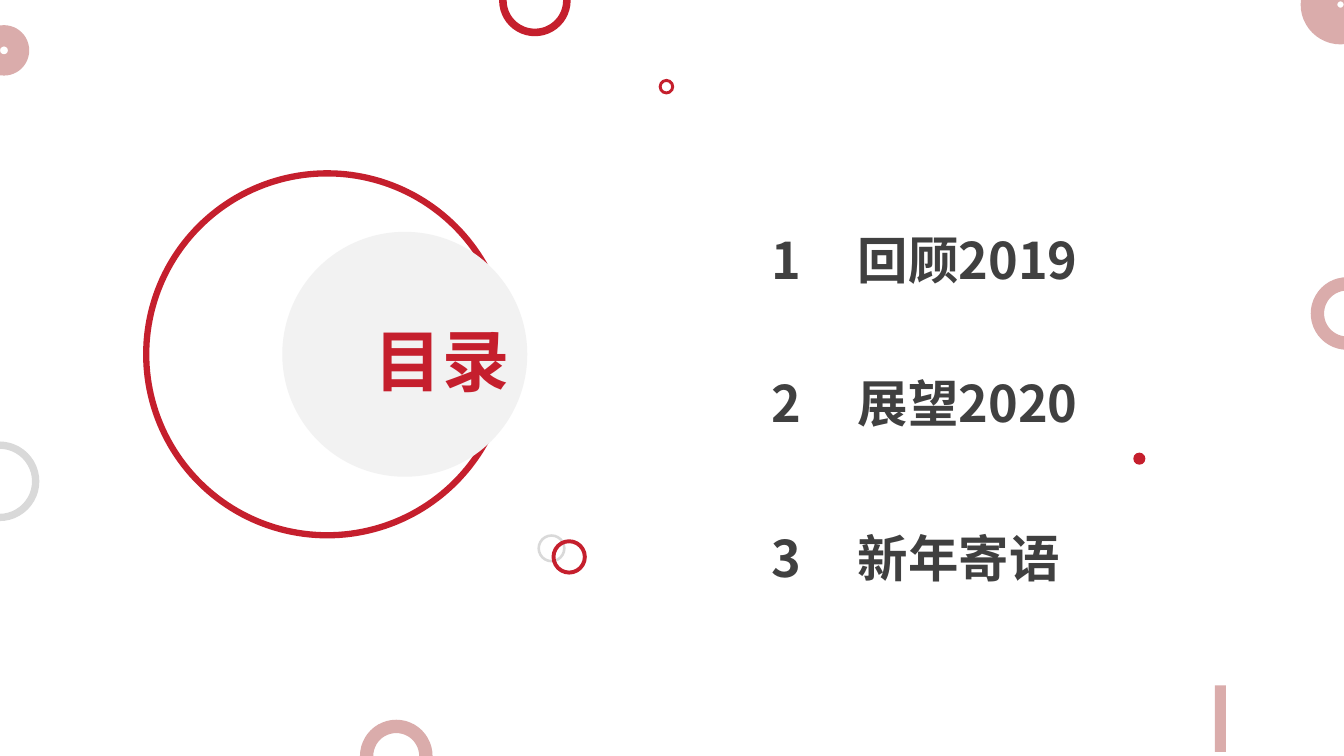
"""Build the contents slide with its ring ornaments and three entries."""
from dataclasses import dataclass
from typing import Optional

from lxml.etree import SubElement
from pptx import Presentation
from pptx.dml.color import RGBColor
from pptx.enum.shapes import MSO_SHAPE
from pptx.enum.text import MSO_AUTO_SIZE, PP_ALIGN
from pptx.oxml.ns import qn
from pptx.slide import Slide
from pptx.util import Inches, Pt


@dataclass(frozen=True)
class Theme:
    """Colours, font and type sizes of the slide."""
    red: str = "C51F2D"
    pink: str = "DAACAB"
    silver: str = "D9D9D9"
    pale: str = "F2F2F2"
    ink: str = "404040"
    font: str = "Noto Sans CJK SC"
    title_size: int = 48
    entry_size: int = 36


THEME = Theme()


@dataclass(frozen=True)
class Ornament:
    """A square-framed round shape, hollow where a band is given."""
    left: float
    top: float
    size: float
    fill: Optional[str] = None
    band: Optional[float] = None
    outline: Optional[float] = None


@dataclass(frozen=True)
class Entry:
    """One line of the contents list."""
    number: str
    label: str
    top: float


ORNAMENTS = (
    Ornament(1.45, 1.72, 3.59, outline=4.5),
    Ornament(-0.4, 4.38, 0.79, THEME.silver, 0.092),
    Ornament(5.33, 5.3, 0.28, THEME.silver, 0.092),
    Ornament(5.47, 5.35, 0.35, THEME.red, 0.112),
    Ornament(3.57, 7.14, 0.72, THEME.pink, 0.184),
    Ornament(-0.21, 0.25, 0.5, THEME.pink, 0.421),
    Ornament(4.95, -0.35, 0.71, THEME.red, 0.106),
    Ornament(6.54, 0.79, 0.14, THEME.red, 0.112, outline=1),
    Ornament(13, 2.75, 0.72, THEME.pink, 0.184),
    Ornament(12.9, -0.35, 0.79, THEME.pink, 0.46),
    Ornament(11.24, 4.49, 0.12, THEME.red),
    Ornament(2.8, 2.3, 2.43, THEME.pale),
)

ENTRIES = (
    Entry("1", "回顾2019", 2.22),
    Entry("2", "展望2020", 3.64),
    Entry("3", "新年寄语", 5.18),
)


def draw_ornament(slide: Slide, ornament: Ornament) -> None:
    """Draw a ring, disc or outlined circle."""
    kind = MSO_SHAPE.OVAL if ornament.band is None else MSO_SHAPE.DONUT
    size = Inches(ornament.size)
    circle = slide.shapes.add_shape(
        kind, Inches(ornament.left), Inches(ornament.top), size, size)
    circle.shadow.inherit = False
    if ornament.band is not None:
        circle.adjustments[0] = ornament.band
    if ornament.fill is None:
        circle.fill.background()
    else:
        circle.fill.solid()
        circle.fill.fore_color.rgb = RGBColor.from_string(ornament.fill)
    if ornament.outline is None:
        circle.line.fill.background()
    else:
        circle.line.color.rgb = RGBColor.from_string(THEME.red)
        circle.line.width = Pt(ornament.outline)


def draw_bar(slide: Slide) -> None:
    """Draw the upright bar at the lower right."""
    bar = slide.shapes.add_shape(
        MSO_SHAPE.RECTANGLE, Inches(12.05), Inches(6.8), Inches(0.11), Inches(0.66))
    bar.shadow.inherit = False
    bar.fill.solid()
    bar.fill.fore_color.rgb = RGBColor.from_string(THEME.pink)
    bar.line.fill.background()


def write(slide: Slide, wording: str, left: float, top: float, width: float,
          height: float = 0.71, size: int = THEME.entry_size,
          colour: str = THEME.ink, align: PP_ALIGN = PP_ALIGN.LEFT) -> None:
    """Write one bold line in a text box."""
    frame = slide.shapes.add_textbox(
        Inches(left), Inches(top), Inches(width), Inches(height)).text_frame
    frame.word_wrap = True
    frame.auto_size = MSO_AUTO_SIZE.SHAPE_TO_FIT_TEXT
    paragraph = frame.paragraphs[0]
    paragraph.alignment = align
    run = paragraph.add_run()
    run.text = wording
    run.font.size = Pt(size)
    run.font.bold = True
    run.font.color.rgb = RGBColor.from_string(colour)
    run.font.name = THEME.font
    SubElement(run.font._element, qn("a:ea"), typeface=THEME.font)


def main() -> None:
    """Assemble and save the slide."""
    deck = Presentation()
    deck.slide_width, deck.slide_height = Inches(13.33), Inches(7.5)
    slide = deck.slides.add_slide(deck.slide_layouts[6])
    for ornament in ORNAMENTS:
        draw_ornament(slide, ornament)
    draw_bar(slide)
    write(slide, "目录", 2.23, 3.12, 4.31, 0.91,
          THEME.title_size, THEME.red, PP_ALIGN.CENTER)
    for entry in ENTRIES:
        write(slide, entry.number, 7.55, entry.top, 0.46)
        write(slide, entry.label, 8.41, entry.top, 2.87)
    deck.save("out.pptx")


if __name__ == "__main__":
    main()
